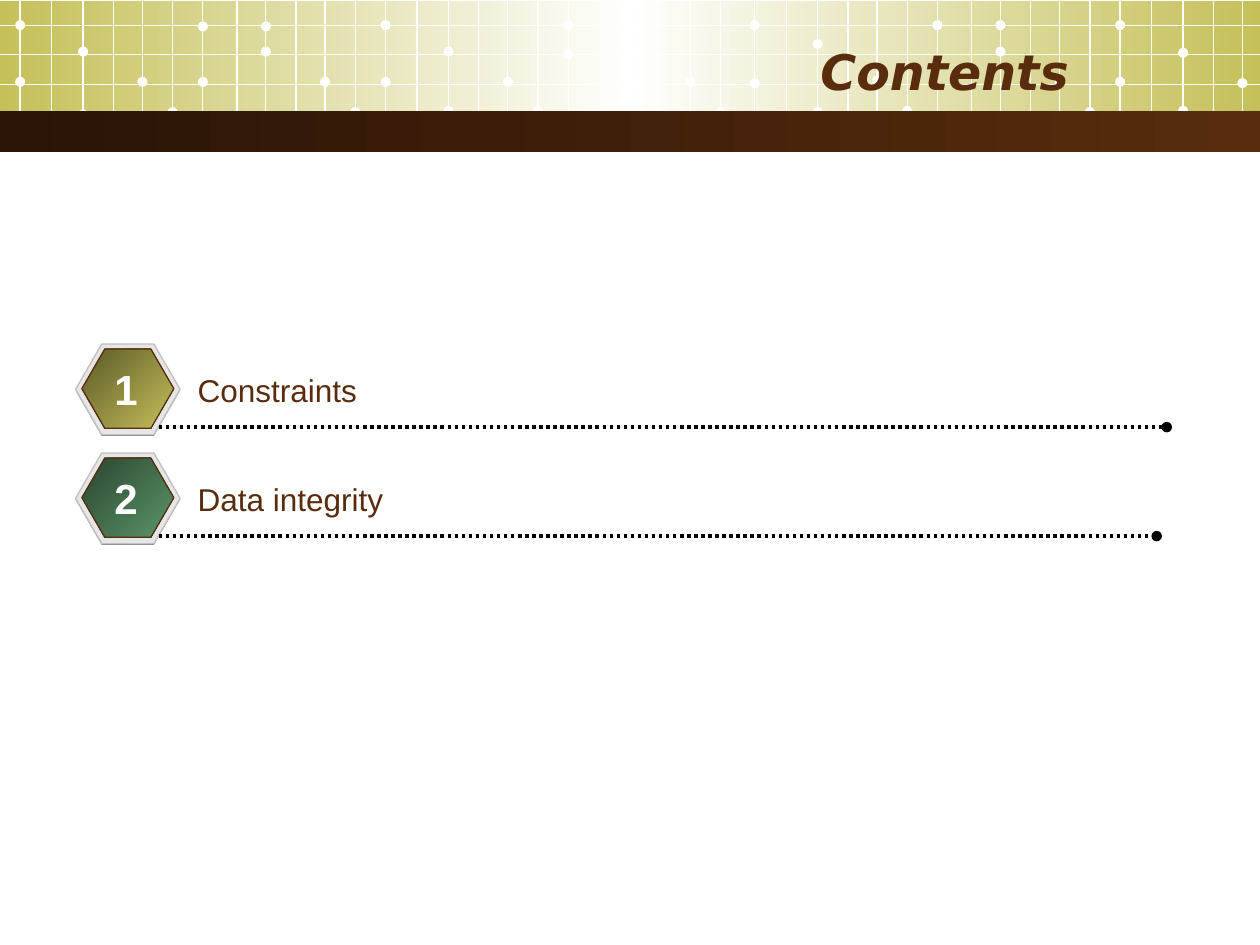
from copy import deepcopy

from lxml.etree import SubElement
from pptx import Presentation
from pptx.dml.color import RGBColor
from pptx.enum.dml import MSO_LINE
from pptx.enum.shapes import MSO_CONNECTOR, MSO_SHAPE
from pptx.enum.text import MSO_ANCHOR, PP_ALIGN
from pptx.oxml.ns import qn
from pptx.util import Inches, Pt

COLS, ROWS = 100, 75
BROWN, OLIVE, WHITE = "592C0D", "C5C059", "FFFFFF"


def rgb(color):
    return RGBColor.from_string(color)


class Deck:
    """Holds the style and the current slide; lengths are grid columns and rows."""

    font = "Arial"

    def __init__(self):
        self.prs = Presentation()
        self.prs.slide_width, self.prs.slide_height = Inches(10), Inches(7.5)
        self.s = self.prs.slides.add_slide(self.prs.slide_layouts[6])

    def grid(self, *lengths):
        units = (self.prs.slide_width / COLS, self.prs.slide_height / ROWS)
        return [round(n * units[i % 2]) for i, n in enumerate(lengths)]

    def shape(self, kind, x, y, w, h, colors, angle=0, line=None):
        sp = self.s.shapes.add_shape(kind, *self.grid(x, y, w, h))
        sp.shadow.inherit = False
        if len(colors) == 1:
            sp.fill.solid()
            sp.fill.fore_color.rgb = rgb(colors[0])
        else:
            self.gradient(sp.fill, colors, angle)
        if line:
            sp.line.color.rgb = rgb(line)
            sp.line.width = Pt(0.75)
        else:
            sp.line.fill.background()
        return sp

    def gradient(self, fill, colors, angle):
        fill.gradient()
        fill.gradient_angle = -angle % 360
        last = fill.gradient_stops[1]._gs
        for _ in colors[2:]:
            last.addnext(deepcopy(last))
        for i, (stop, color) in enumerate(zip(fill.gradient_stops, colors)):
            stop.position = i / (len(colors) - 1)
            stop.color.rgb = rgb(color)

    def hexagon(self, x, y, w, h, colors, line=None):
        sp = self.shape(MSO_SHAPE.HEXAGON, x, y, w, h, colors, 45, line)
        sp.adjustments[0], sp.adjustments[1] = 0.289, 1.155

    def dot(self, x, y, size=0.8):
        self.shape(MSO_SHAPE.OVAL, x - size / 2, y - size / 2, size, size, [WHITE])

    def line(self, x1, y1, x2, y2, color=WHITE, width=0.75):
        c = self.s.shapes.add_connector(MSO_CONNECTOR.STRAIGHT, *self.grid(x1, y1, x2, y2))
        c.line.color.rgb = rgb(color)
        c.line.width = Pt(width)
        SubElement(c._element.spPr, qn("a:effectLst"))
        return c

    def dotted_line(self, x1, x2, y):
        c = self.line(x1, y, x2, y, "000000", 2)
        c.line.dash_style = MSO_LINE.ROUND_DOT
        SubElement(c.line._ln, qn("a:tailEnd"), type="oval")

    def text(self, x, y, w, h, words, size, color=BROWN, align=PP_ALIGN.LEFT,
             font=None, bold=False, italic=False, wrap=True, anchor=MSO_ANCHOR.TOP):
        tf = self.s.shapes.add_textbox(*self.grid(x, y, w, h)).text_frame
        tf.word_wrap, tf.vertical_anchor = wrap, anchor
        p = tf.paragraphs[0]
        p.alignment = align
        r = p.add_run()
        r.text = words
        r.font.name, r.font.size = font or self.font, Pt(size)
        r.font.bold, r.font.italic = bold, italic
        r.font.color.rgb = rgb(color)


# Header lattice: one run of columns, repeated from each tile start
LATTICE = [0, 2.5, 5, 7.4, 9.7, 12.1, 14.5, 17.2, 19.5, 21.9, 24.2, 26.6]
DOT_COLUMNS = [0, 0, 2, 2, 4, 5, 6, 6, 8, 8, 10, 11]
# Tile start: heights of its dots
TILES = {
    1.6: [6.5, 2, 4.1, 9.1, 6.5, 8.9, 6.5, 2.1, 4.1, 2.1, 6.5, 8.9],
    30.6: [6.5, 2, 4.1, 8.8, 6.5, 8.8, 4.3, 2, 4.2, 2, 6.5, 8.9],
    59.9: [6.6, 2, 3.5, 8.9, 6.4, 8.8, 5.1, 2, 4.1, 2, 6.5, 8.9],
    88.9: [6.5, 2, 4.2, 8.8, 6.6],
}
# Label, badge gradient, end of the dotted line
ITEMS = [
    ("Constraints", ["5B5929", OLIVE], 92.6),
    ("Data integrity", ["2A4531", "5B9569"], 91.8),
]


def header(deck):
    deck.shape(MSO_SHAPE.RECTANGLE, 0, 0.1, COLS, 10.2, [OLIVE, WHITE, OLIVE])
    for start, heights in TILES.items():
        for offset in LATTICE:
            if start + offset < COLS:
                deck.line(start + offset, 0, start + offset, 11)
        for column, y in zip(DOT_COLUMNS, heights):
            deck.dot(start + LATTICE[column], y)
    for y in (2, 4.3, 6.7, 8.9):
        deck.line(0, y, COLS, y)
    deck.shape(MSO_SHAPE.RECTANGLE, 0, 8.8, COLS, 3.3, ["291406", BROWN])
    deck.text(5, 2.5, 80.8, 6.2, "Contents", 28, align=PP_ALIGN.RIGHT,
              font="DejaVu Sans", bold=True, italic=True, anchor=MSO_ANCHOR.MIDDLE)


def item(deck, number, label, colors, line_end):
    y = 27.3 + 8.65 * (number - 1)
    # Badge: shade, rim and face
    deck.hexagon(6, y + 0.1, 8.3, 7.2, ["808080"])
    deck.hexagon(6, y, 8.3, 7.2, ["E6E6E6"], "C0C0C0")
    deck.hexagon(6.5, y + 0.4, 7.3, 6.3, colors, BROWN)
    # Rule, label and number
    deck.dotted_line(12.6, line_end, y + 6.6)
    deck.text(14.7, y + 1.65, 60, 4, label, 18)
    deck.text(8.1, y + 1.05, 3.8, 5, str(number), 24, WHITE, PP_ALIGN.CENTER,
              bold=True, wrap=False)


def main():
    deck = Deck()
    header(deck)
    for number, entry in enumerate(ITEMS, 1):
        item(deck, number, *entry)
    deck.prs.save("out.pptx")


if __name__ == "__main__":
    main()
